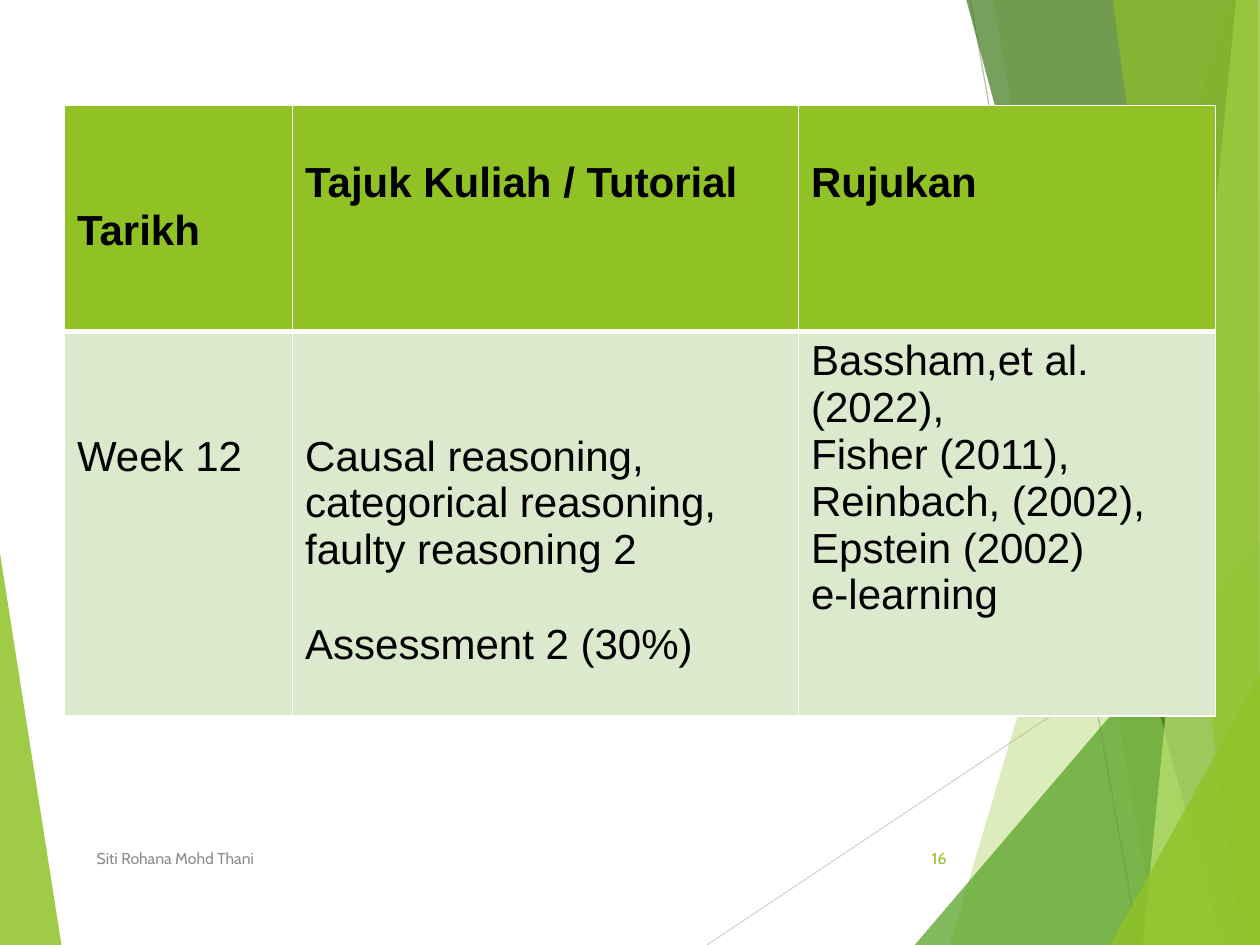
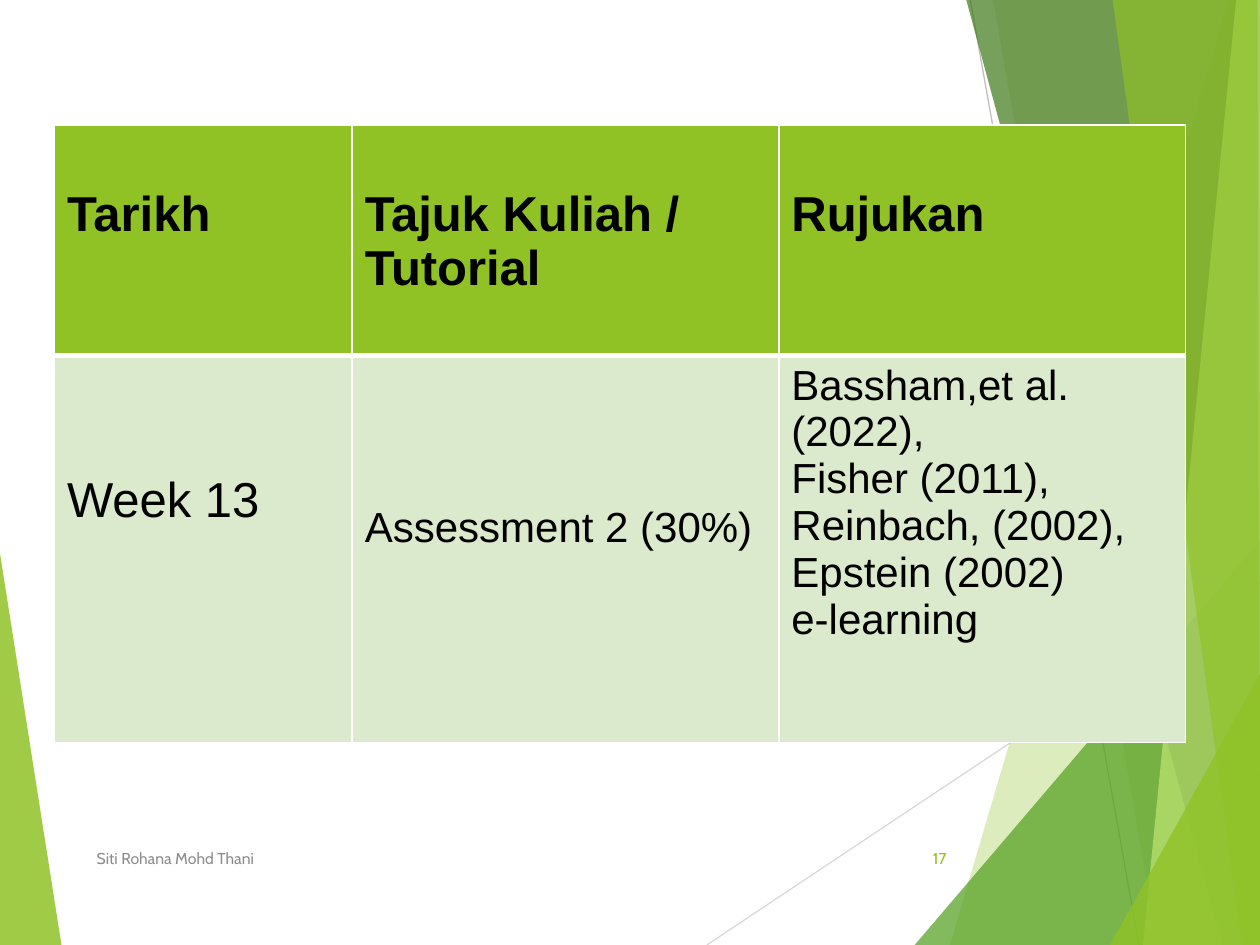
import dataclasses

import pptx
import pptx.dml.color
import pptx.enum.shapes
import pptx.enum.text
import pptx.oxml
import pptx.oxml.ns
import pptx.util

Cm = pptx.util.Cm
Pt = pptx.util.Pt
WIDTH, HEIGHT = 25.4, 19.05
BOTTOM_RIGHT, TOP_RIGHT = (WIDTH, HEIGHT), (WIDTH, 0)


@dataclasses.dataclass(frozen=True)
class Theme:
    lime: str = "90C226"
    leaf: str = "54A021"
    forest: str = "3F7819"
    pale: str = "C0E474"
    body: str = "DBE9CD"
    white: str = "FFFFFF"
    black: str = "000000"
    grey: str = "8C8C8C"
    light_line: str = "D9D9D9"
    dark_line: str = "BFBFBF"
    table_font: str = "Arial"
    footer_font: str = "Cabin"
    large: int = 28
    normal: int = 24
    small: int = 9
    line_height: float = 0.04
    thin: float = 1
    thick: float = 3
    hairline: float = 0.75


THEME = Theme()

RAYS = [
    ((14.25, HEIGHT), (WIDTH, 11.62), THEME.light_line),
    ((19.56, 0), (22.96, HEIGHT), THEME.dark_line),
]
LEFT_BAND = ([(0, 11.15), (1.24, HEIGHT), (0, HEIGHT)], THEME.lime, 85)
RIGHT_BANDS = [
    ([(24.77, 0), (19.15, HEIGHT), BOTTOM_RIGHT, TOP_RIGHT], THEME.lime, 30),
    ([(20.02, 0), (23.34, HEIGHT), BOTTOM_RIGHT, TOP_RIGHT], THEME.lime, 20),
    ([(18.44, HEIGHT), (WIDTH, 10.9), BOTTOM_RIGHT], THEME.leaf, 72),
    ([(19.48, 0), (24.64, HEIGHT), BOTTOM_RIGHT, TOP_RIGHT], THEME.forest, 70),
    ([(24.92, 0), (23.04, HEIGHT), BOTTOM_RIGHT, TOP_RIGHT], THEME.pale, 70),
    ([(22.43, 0), (25.04, HEIGHT), BOTTOM_RIGHT, (25.35, 0)], THEME.lime, 65),
    ([(22.38, HEIGHT), (WIDTH, 13.59), BOTTOM_RIGHT], THEME.lime, 80),
]


@dataclasses.dataclass(frozen=True)
class Entry:
    lines: tuple
    drop: int = 0
    size: int = THEME.normal
    spaced: bool = False


REFERENCES = Entry(("Bassham,et al. (2022),", "Fisher (2011),", "Reinbach, (2002),",
                    "Epstein (2002)", "e-learning"))


def headings(size, date_drop):
    return [Entry(("Tarikh",), date_drop, size),
            Entry(("Tajuk Kuliah / Tutorial",), 1, size),
            Entry(("Rujukan",), 1, size)]


class Painter:
    def __init__(self, deck, theme):
        self.deck = deck
        self.theme = theme
        self.page = None

    def new_page(self):
        self.page = self.deck.slides.add_slide(self.deck.slide_layouts[6])

    def color(self, value):
        return pptx.dml.color.RGBColor.from_string(value)

    def ray(self, start, end, color):
        line = self.page.shapes.add_connector(
            pptx.enum.shapes.MSO_CONNECTOR.STRAIGHT,
            *(Cm(value) for value in start + end))
        line.line.color.rgb = self.color(color)
        line.line.width = Pt(self.theme.hairline)
        properties = line._element.spPr
        properties.append(pptx.oxml.parse_xml(
            f"<a:effectLst {pptx.oxml.ns.nsdecls('a')}/>"))

    def band(self, points, color, opacity):
        corners = [(Cm(x), Cm(y)) for x, y in points]
        builder = self.page.shapes.build_freeform(*corners[0])
        builder.add_line_segments(corners[1:], close=True)
        band = builder.convert_to_shape()
        band.shadow.inherit = False
        band.line.fill.background()
        band.fill.solid()
        band.fill.fore_color.rgb = self.color(color)
        swatch = band._element.spPr.find(".//" + pptx.oxml.ns.qn("a:srgbClr"))
        swatch.append(pptx.oxml.parse_xml(
            f"<a:alpha {pptx.oxml.ns.nsdecls('a')} val='{opacity * 1000}'/>"))

    def backdrop(self):
        self.band(*LEFT_BAND)
        for ray in RAYS:
            self.ray(*ray)
        for band in RIGHT_BANDS:
            self.band(*band)

    def style(self, para, font, size, color, bold=False):
        for span in para.runs:
            span.font.name = font
            span.font.size = Pt(size)
            span.font.bold = bold
            span.font.color.rgb = self.color(color)

    def label(self, text, left, width, color, align):
        box = self.page.shapes.add_textbox(Cm(left), Cm(16.79), Cm(width), Cm(1.02))
        frame = box.text_frame
        frame.word_wrap = True
        frame.vertical_anchor = pptx.enum.text.MSO_ANCHOR.MIDDLE
        frame.text = text
        para = frame.paragraphs[0]
        para.alignment = align
        self.style(para, self.theme.footer_font, self.theme.small, color)

    def footer(self, number):
        align = pptx.enum.text.PP_ALIGN
        self.label("Siti Rohana Mohd Thani", 1.7, 12.85, self.theme.grey, align.LEFT)
        self.label(str(number), 17.91, 1.42, self.theme.lime, align.RIGHT)

    def borders(self, cell, is_header):
        theme = self.theme
        top = theme.thin if is_header else theme.thick
        bottom = theme.thick if is_header else theme.thin
        widths = {"L": theme.thin, "R": theme.thin, "T": top, "B": bottom}
        properties = cell._tc.get_or_add_tcPr()
        for position, (side, width) in enumerate(widths.items()):
            properties.insert(position, pptx.oxml.parse_xml(
                f"<a:ln{side} {pptx.oxml.ns.nsdecls('a')} w='{Pt(width)}'>"
                f"<a:solidFill><a:srgbClr val='{theme.white}'/></a:solidFill>"
                f"</a:ln{side}>"))

    def fill_cell(self, cell, entry, is_header):
        theme = self.theme
        line = entry.size * theme.line_height
        cell.margin_top = Cm(0.13 + entry.drop * line)
        cell.fill.solid()
        cell.fill.fore_color.rgb = self.color(theme.lime if is_header else theme.body)
        self.borders(cell, is_header)
        cell.text_frame.text = "\n".join(entry.lines)
        for index, para in enumerate(cell.text_frame.paragraphs):
            if entry.spaced and index:
                para.space_before = Cm(line)
            self.style(para, theme.table_font, entry.size, theme.black, is_header)

    def table(self, left, top, widths, heights, rows):
        frame = self.page.shapes.add_table(
            len(rows), len(widths), Cm(left), Cm(top), Cm(sum(widths)), Cm(sum(heights)))
        table = frame.table
        table.horz_banding = False
        for column, width in zip(table.columns, widths):
            column.width = Cm(width)
        for index, (row, height, entries) in enumerate(zip(table.rows, heights, rows)):
            row.height = Cm(height)
            for cell, entry in zip(row.cells, entries):
                self.fill_cell(cell, entry, index == 0)


def main():
    deck = pptx.Presentation()
    deck.slide_width = Cm(WIDTH)
    deck.slide_height = Cm(HEIGHT)
    painter = Painter(deck, THEME)

    week_12 = [
        Entry(("Week 12",), 2),
        Entry(("Causal reasoning, categorical reasoning, faulty reasoning 2",
               "Assessment 2 (30%)"), 2, spaced=True),
        REFERENCES,
    ]
    week_13 = [
        Entry(("Week 13",), 2, THEME.large),
        Entry(("Assessment 2 (30%)",), 3),
        REFERENCES,
    ]
    schedule = [
        (16, 1.3, 2.13, (4.6, 10.2, 8.4), (4.55, 7.75),
         [headings(THEME.normal, 2), week_12]),
        (17, 1.1, 2.52, (6, 8.6, 8.2), (4.65, 7.8),
         [headings(THEME.large, 1), week_13]),
    ]
    for number, *layout in schedule:
        painter.new_page()
        painter.backdrop()
        painter.table(*layout)
        painter.footer(number)

    deck.save("out.pptx")


if __name__ == "__main__":
    main()
